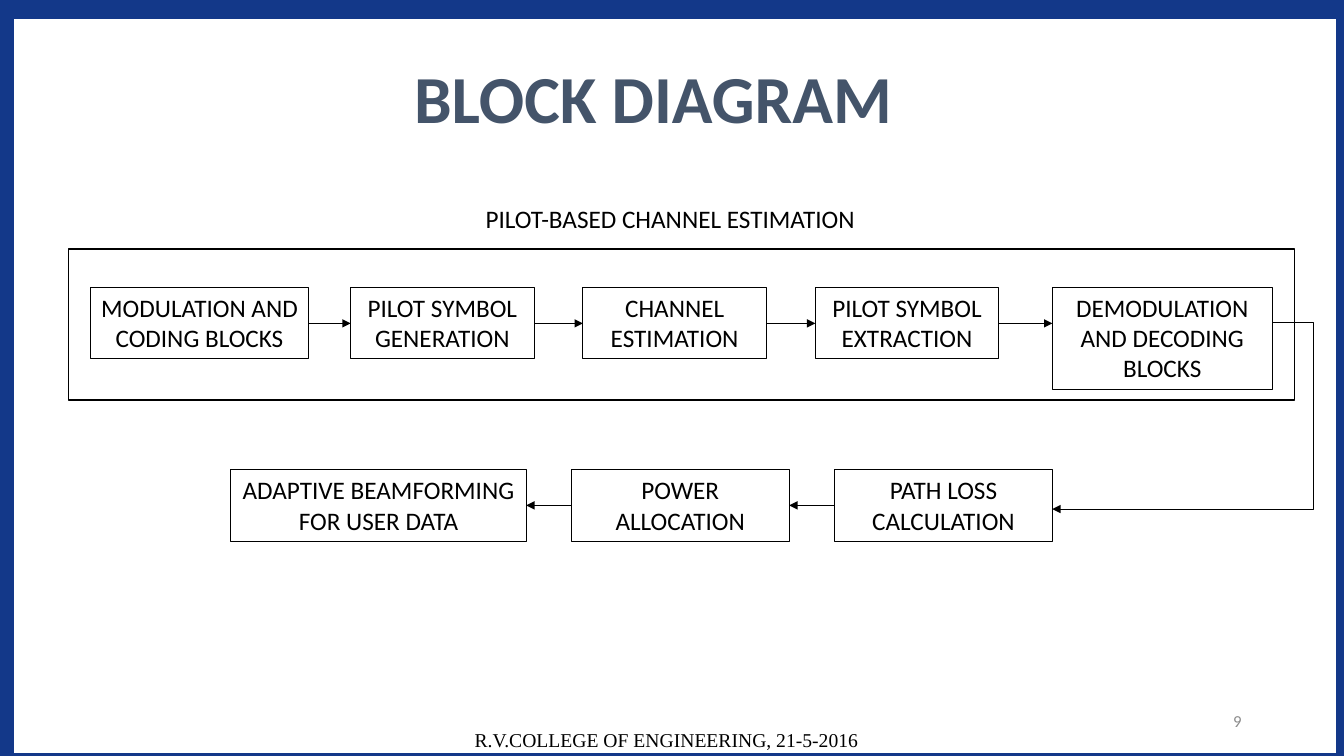
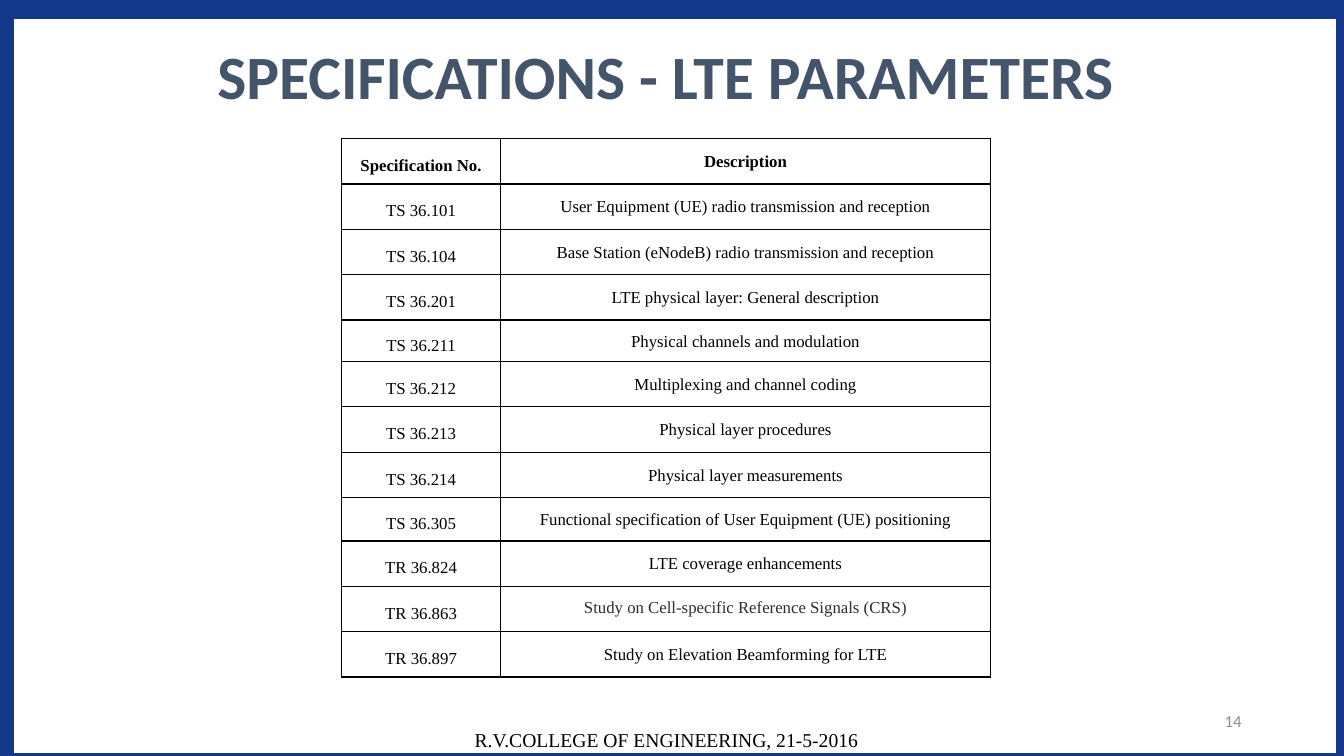
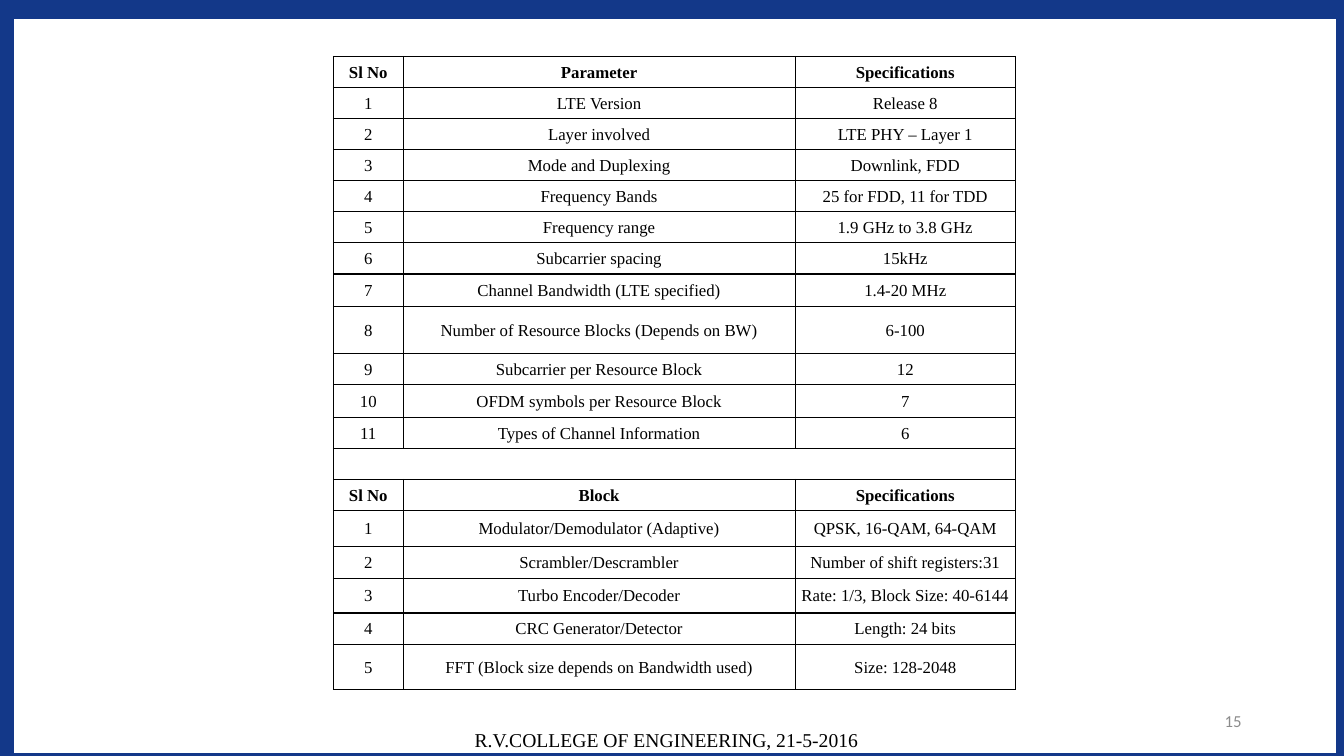
import lxml.etree
import pptx
import pptx.dml.color
import pptx.enum.shapes
import pptx.enum.text
import pptx.oxml.ns
import pptx.util

Pt = pptx.util.Pt
qn = pptx.oxml.ns.qn
RGB = pptx.dml.color.RGBColor.from_string
ALIGN = pptx.enum.text.PP_ALIGN
ANCHOR = pptx.enum.text.MSO_ANCHOR
RECT = pptx.enum.shapes.MSO_SHAPE.RECTANGLE
LINK = pptx.enum.shapes.MSO_CONNECTOR

HUES = {"frame": "133889", "title": "44546A", "ink": "000000",
        "page": "8C8C8C", "gray": "2D2D2D"}
SANS, SERIF = "Calibri", "Times New Roman"


def put(frame, text, size=18, face=SANS, hue="ink", bold=False,
        align=ALIGN.LEFT, anchor=ANCHOR.TOP, space=None):
    frame.word_wrap = True
    frame.vertical_anchor = anchor
    frame.text = text
    para = frame.paragraphs[0]
    para.alignment = align
    para.line_spacing = space
    font = para.runs[0].font
    font.size, font.name, font.bold = Pt(size), face, bold
    font.color.rgb = RGB(HUES[hue])


def arrow(slide, kind, *ends):
    """Draw a thin black connector with a triangle at its end."""
    link = slide.shapes.add_connector(kind, *[Pt(v) for v in ends])
    link.line.color.rgb = RGB(HUES["ink"])
    link.line.width = Pt(0.5)
    ln = link.line._get_or_add_ln()
    lxml.etree.SubElement(ln, qn("a:tailEnd"), type="triangle")
    lxml.etree.SubElement(link._element.spPr, qn("a:effectLst"))
    return link


deck = pptx.Presentation()
deck.slide_width, deck.slide_height = Pt(960), Pt(540)

# Shared frame, page number, title and footer
pages = [
    ("9", "BLOCK DIAGRAM", 48, (96, 36.7, 741, 110)),
    ("14", "SPECIFICATIONS - LTE PARAMETERS", 44, (66, 23.8, 819.5, 110)),
    ("15", None, None, None),
]
slides = []
for number, title, size, place in pages:
    slide = deck.slides.add_slide(deck.slide_layouts[5 if title else 6])
    slides.append(slide)
    frame = slide.shapes.add_shape(RECT, Pt(2.2), Pt(5.8), Pt(960), Pt(540))
    frame.shadow.inherit = False
    frame.fill.background()
    frame.line.color.rgb = RGB(HUES["frame"])
    frame.line.width = Pt(15.25)
    if title:
        head = slide.shapes.title
        head.left, head.top, head.width, head.height = [Pt(v) for v in place]
        head.text_frame.auto_size = pptx.enum.text.MSO_AUTO_SIZE.NONE
        put(head.text_frame, title, size=size, hue="title", bold=True,
            align=ALIGN.CENTER)
    box = slide.shapes.add_textbox(Pt(678), Pt(500.5), Pt(216), Pt(28.8))
    put(box.text_frame, number, size=12, hue="page", align=ALIGN.RIGHT,
        anchor=ANCHOR.MIDDLE)
    box = slide.shapes.add_textbox(Pt(332), Pt(516.2), Pt(381.6), Pt(23.8))
    put(box.text_frame, "R.V.COLLEGE OF ENGINEERING, 21-5-2016", size=14,
        face=SERIF)

# Block diagram: left, width, height, text, in order of flow
slide = slides[0]
flows = [
    (205.2, 231, [
        (64.8, 155.5, 51, "MODULATION AND CODING BLOCKS"),
        (250.5, 131, 51, "PILOT SYMBOL GENERATION"),
        (416.4, 131, 51, "CHANNEL ESTIMATION"),
        (582.4, 131, 51, "PILOT SYMBOL EXTRACTION"),
        (751.7, 157, 72.7, "DEMODULATION AND DECODING BLOCKS")]),
    (335.5, 361, [
        (596.2, 155.5, 51, "PATH LOSS CALCULATION"),
        (408.2, 155.5, 51, "POWER ALLOCATION"),
        (164.9, 211, 51, "ADAPTIVE BEAMFORMING FOR USER DATA")]),
]
for top, mid, blocks in flows:
    for left, width, height, text in blocks:
        block = slide.shapes.add_shape(RECT, Pt(left), Pt(top), Pt(width),
                                       Pt(height))
        block.shadow.inherit = False
        block.fill.background()
        block.line.color.rgb = RGB(HUES["ink"])
        block.line.width = Pt(0.75)
        put(block.text_frame, text, align=ALIGN.CENTER)
    for one, two in zip(blocks, blocks[1:]):
        if one[0] < two[0]:
            start, end = one[0] + one[1], two[0]
        else:
            start, end = one[0], two[0] + two[1]
        arrow(slide, LINK.STRAIGHT, start, mid, end, mid)

group = slide.shapes.add_shape(RECT, Pt(49), Pt(177.8), Pt(875.6), Pt(108))
group.shadow.inherit = False
group.fill.background()
group.line.color.rgb = RGB(HUES["ink"])
group.line.width = Pt(1)

bend = arrow(slide, LINK.ELBOW, 908.7, 230.4, 751.7, 363.6)
guides = bend._element.spPr.find(qn("a:prstGeom")).get_or_add_avLst()
lxml.etree.SubElement(guides, qn("a:gd"), name="adj1", fmla="val -18700")

label = slide.shapes.add_textbox(Pt(339.8), Pt(141.8), Pt(284), Pt(29))
put(label.text_frame, "PILOT-BASED CHANNEL ESTIMATION")

# Tables
specs = [
    ("Specification No.", "Description"),
    ("TS 36.101", "User Equipment (UE) radio transmission and reception"),
    ("TS 36.104", "Base Station (eNodeB) radio transmission and reception"),
    ("TS 36.201", "LTE physical layer: General description"),
    ("TS 36.211", "Physical channels and modulation"),
    ("TS 36.212", "Multiplexing and channel coding"),
    ("TS 36.213", "Physical layer procedures"),
    ("TS 36.214", "Physical layer measurements"),
    ("TS 36.305", "Functional specification of User Equipment (UE) positioning"),
    ("TR 36.824", "LTE coverage enhancements"),
    ("TR 36.863", "Study on Cell-specific Reference Signals (CRS)"),
    ("TR 36.897", "Study on Elevation Beamforming for LTE"),
]
params = [
    ("Sl No", "Parameter", "Specifications"),
    ("1", "LTE Version", "Release 8"),
    ("2", "Layer involved", "LTE PHY – Layer 1"),
    ("3", "Mode and Duplexing", "Downlink, FDD"),
    ("4", "Frequency Bands", "25 for FDD, 11 for TDD"),
    ("5", "Frequency range", "1.9 GHz to 3.8 GHz"),
    ("6", "Subcarrier spacing", "15kHz"),
    ("7", "Channel Bandwidth (LTE specified)", "1.4-20 MHz"),
    ("8", "Number of Resource Blocks (Depends on BW)", "6-100"),
    ("9", "Subcarrier per Resource Block", "12"),
    ("10", "OFDM symbols per Resource Block", "7"),
    ("11", "Types of Channel Information", "6"),
    ("", "", ""),
    ("Sl No", "Block", "Specifications"),
    ("1", "Modulator/Demodulator (Adaptive)", "QPSK, 16-QAM, 64-QAM"),
    ("2", "Scrambler/Descrambler", "Number of shift registers:31"),
    ("3", "Turbo Encoder/Decoder", "Rate: 1/3, Block Size: 40-6144"),
    ("4", "CRC Generator/Detector", "Length: 24 bits"),
    ("5", "FFT (Block size depends on Bandwidth used)", "Size: 128-2048"),
]
# Rows, left, top, column widths, usual row height, other heights,
# side margin, line spacing of the first column
plans = [
    (specs, 244, 99, (113.6, 350), 32.4, {4: 29.6, 8: 31}, 4.5, 1.5),
    (params, 238.2, 40.3, (49.8, 280, 157.4), 22.2,
     {7: 23.5, 8: 33.4, 10: 23.4, 14: 25.4, 15: 23, 16: 24.8, 18: 32.4},
     3, 1.07),
]
grids = []
for slide, plan in zip(slides[1:], plans):
    rows, left, top, widths, usual, others, side, first = plan
    heights = [others.get(r, usual) for r in range(len(rows))]
    grid = slide.shapes.add_table(len(rows), len(widths), Pt(left), Pt(top),
                                  Pt(sum(widths)), Pt(sum(heights))).table
    grids.append(grid)
    grid.first_row = grid.horz_banding = False
    for c, width in enumerate(widths):
        grid.columns[c].width = Pt(width)
    for r, row in enumerate(rows):
        grid.rows[r].height = Pt(heights[r])
        for c, text in enumerate(row):
            cell = grid.cell(r, c)
            cell.margin_left = cell.margin_right = Pt(side)
            cell.margin_top = cell.margin_bottom = 0
            cell.vertical_anchor = ANCHOR.MIDDLE
            props = cell._tc.get_or_add_tcPr()
            for edge in ("lnL", "lnR", "lnT", "lnB"):
                ln = lxml.etree.SubElement(props, qn("a:" + edge),
                                           w=str(Pt(1)))
                fill = lxml.etree.SubElement(ln, qn("a:solidFill"))
                lxml.etree.SubElement(fill, qn("a:srgbClr"), val=HUES["ink"])
            cell.fill.background()
            if text:
                put(cell.text_frame, text, size=12, face=SERIF,
                    bold=row[0] in ("Specification No.", "Sl No"),
                    align=ALIGN.CENTER, anchor=ANCHOR.MIDDLE,
                    space=1.07 if c else first)

put(grids[0].cell(10, 1).text_frame, specs[10][1], size=12, face=SERIF,
    hue="gray", align=ALIGN.CENTER, anchor=ANCHOR.MIDDLE, space=Pt(12))
grids[1].cell(12, 0).merge(grids[1].cell(12, 2))

deck.save("out.pptx")
